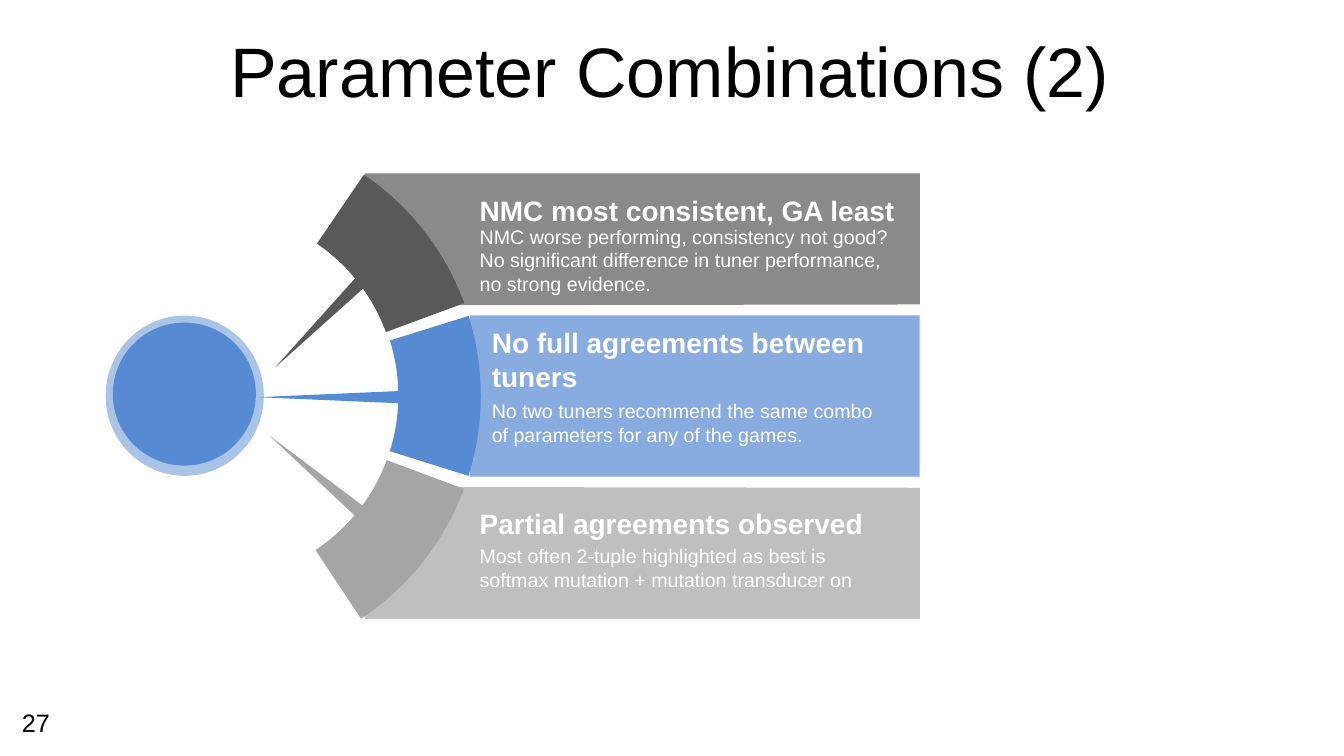
from lxml import etree
from pptx import Presentation
from pptx.dml.color import RGBColor
from pptx.enum.shapes import MSO_SHAPE
from pptx.enum.text import MSO_ANCHOR, PP_ALIGN
from pptx.oxml.ns import qn
from pptx.util import Pt

ARC, TRIANGLE = MSO_SHAPE.BLOCK_ARC, MSO_SHAPE.ISOSCELES_TRIANGLE
RECTANGLE, OVAL = MSO_SHAPE.RECTANGLE, MSO_SHAPE.OVAL
MIDDLE, TOP = MSO_ANCHOR.MIDDLE, MSO_ANCHOR.TOP
CENTER = PP_ALIGN.CENTER

FONT = "Arial"
COLORS = {"dark": "595959", "blue": "568AD3", "light": "A5A5A5",
          "white": "FFFFFF", "black": "000000"}

# color, start angle, end angle, band thickness
ARCS = [("dark", 304.3, 339.77, 0.156),
        ("blue", 342.65, 17.43, 0.154),
        ("light", 20.38, 56.44, 0.154)]
# color, left, top, length, rotation
SPOKES = [("dark", 147, 65.1, 86.4, 225),
          ("blue", 158.5, 106.2, 108, 270),
          ("light", 145.5, 172.4, 86.4, 310)]
# heading, heading box, body, body box
FINDINGS = [
    ("NMC most consistent, GA least", (260, 11.1, 321.8, 31.7),
     "NMC worse performing, consistency not good? No significant difference "
     "in tuner performance, no strong evidence.", (260, 33.5, 308.2, 58.3)),
    ("No full agreements between tuners", (268.7, 105.5, 299.5, 55.4),
     "No two tuners recommend the same combo of parameters for any of the "
     "games.", (268.7, 158, 299.5, 41)),
    ("Partial agreements observed", (260, 235.1, 308.2, 31),
     "Most often 2-tuple highlighted as best is softmax mutation + mutation "
     "transducer on", (260, 261.7, 308.2, 41)),
]


def paint(shape, color, opacity=100):
    shape.shadow.inherit = False
    shape.line.fill.background()
    shape.fill.solid()
    shape.fill.fore_color.rgb = RGBColor.from_string(COLORS[color])
    if opacity < 100:
        tint = shape.fill._xPr.find(qn("a:solidFill"))[0]
        etree.SubElement(tint, qn("a:alpha"), val=str(opacity * 1000))


def add_preset(page, kind, box, color, opacity=100):
    shape = page.shapes.add_shape(kind, *map(Pt, box))
    paint(shape, color, opacity)
    return shape


def add_span(para, text, size, color, bold=False):
    span = para.add_run()
    span.text = text
    span.font.name, span.font.size, span.font.bold = FONT, Pt(size), bold
    span.font.color.rgb = RGBColor.from_string(COLORS[color])


def add_text(page, box, text, size, color, bold=False):
    frame = page.shapes.add_textbox(*map(Pt, box)).text_frame
    frame.word_wrap = True
    frame.vertical_anchor = TOP
    add_span(frame.paragraphs[0], text, size, color, bold)


def add_title(page, box, text):
    title = page.shapes.title
    title.left, title.top, title.width, title.height = map(Pt, box)
    frame = title.text_frame
    frame.word_wrap = True
    frame.vertical_anchor = MIDDLE
    frame.margin_left = frame.margin_right = frame.margin_top = Pt(7.2)
    frame.margin_bottom = Pt(3.6)
    para = frame.paragraphs[0]
    para.alignment, para.line_spacing, para.space_before = CENTER, 0.7, Pt(10)
    add_span(para, text, 50, "black")


def add_fan(page, box):
    """Draw the hub, its spokes, the ring of arcs and the three panels."""
    left, top, width, height = box

    for color, start, end, thickness in ARCS:
        arc = add_preset(page, ARC, (left - 114.4, top - 32, 382.3, 382.3), color)
        # adjustments count 60000ths of a degree in units of 100000
        arc.adjustments[0] = start * 0.6
        arc.adjustments[1] = end * 0.6
        arc.adjustments[2] = thickness

    outline = [(185, 0.3), (width, 0.3), (width, 94), (196, 94.6)]
    mirrored = [(x, height - y) for x, y in outline]
    for color, corners in (("dark", outline), ("light", mirrored)):
        points = [(Pt(left + x), Pt(top + y)) for x, y in corners]
        builder = page.shapes.build_freeform(*points[0])
        builder.add_line_segments(points[1:], close=True)
        paint(builder.convert_to_shape(), color, 70)

    for color, x, y, length, rotation in SPOKES:
        spoke = add_preset(page, TRIANGLE, (left + x, top + y, 9.4, length), color)
        spoke.rotation = rotation

    add_preset(page, RECTANGLE, (left + 260, top + 101.8, width - 260, 115.2), "blue", 70)
    add_preset(page, OVAL, (left, top + 101.9, 113, 114.5), "blue", 50)
    add_preset(page, OVAL, (left + 5.1, top + 106.9, 102.2, 102.2), "blue")

    for heading, heading_box, body, body_box in FINDINGS:
        for text, (x, y, w, h), size, bold in ((body, body_box, 14, False),
                                               (heading, heading_box, 20, True)):
            add_text(page, (left + x, top + y, w, h), text, size, "white", bold)


def main():
    deck = Presentation()
    deck.slide_width, deck.slide_height = Pt(960), Pt(540)
    page = deck.slides.add_slide(deck.slide_layouts[5])
    add_title(page, (15.1, 26.6, 927.4, 56.9), "Parameter Combinations (2)")
    add_fan(page, (75.5, 123.5, 581.5, 318.9))
    add_text(page, (8.6, 501.8, 43.9, 28.8), "27", 18, "black")
    deck.save("out.pptx")


if __name__ == "__main__":
    main()
